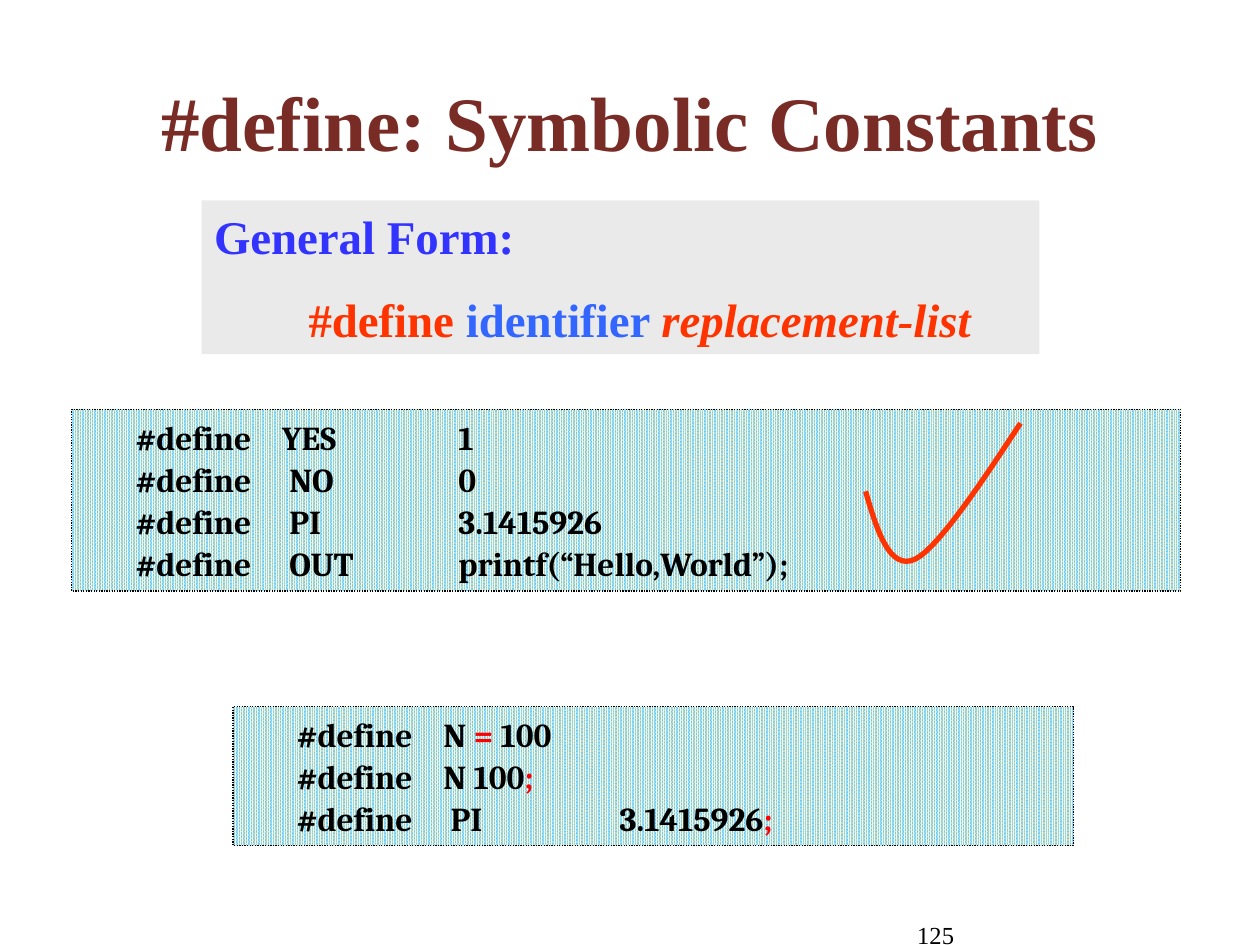
from pptx import Presentation
from pptx.dml.color import RGBColor
from pptx.enum.dml import MSO_LINE, MSO_PATTERN
from pptx.enum.shapes import MSO_SHAPE
from pptx.enum.text import MSO_ANCHOR, MSO_AUTO_SIZE, PP_ALIGN
from pptx.oxml.ns import qn
from pptx.util import Inches, Pt
from lxml import etree

RECTANGLE = MSO_SHAPE.RECTANGLE
DOTTED = MSO_LINE.ROUND_DOT
PERCENT_90 = MSO_PATTERN.PERCENT_90
MIDDLE = MSO_ANCHOR.MIDDLE
FIT_SHAPE = MSO_AUTO_SIZE.SHAPE_TO_FIT_TEXT
LEFT, CENTER, RIGHT = PP_ALIGN.LEFT, PP_ALIGN.CENTER, PP_ALIGN.RIGHT

BLACK = RGBColor(0x00, 0x00, 0x00)
MAROON = RGBColor(0x79, 0x2B, 0x25)
GRAY = RGBColor(0xEA, 0xEA, 0xEA)
INDIGO = RGBColor(0x33, 0x33, 0xFF)
BLUE = RGBColor(0x33, 0x66, 0xFF)
ORANGE = RGBColor(0xFF, 0x33, 0x00)
RED = RGBColor(0xFF, 0x00, 0x00)
CREAM = RGBColor(0xFE, 0xF4, 0xCE)
SKY = RGBColor(0x66, 0xCC, 0xFF)

TITLE_FORMAT = {"name": "Times New Roman", "size": Pt(44), "bold": True}
FORM_FORMAT = {"name": "Times New Roman", "size": Pt(26.8), "bold": True}
CODE_FORMAT = {"name": "Cambria", "size": Pt(19.1), "bold": True}
NUMBER_FORMAT = {"name": "Times New Roman", "size": Pt(14), "bold": False}


def write(frame, lines, font_format, align=LEFT, gap=0, tabs=()):
    """Fill a frame with lines of (text, colour[, italic]) spans."""
    frame.word_wrap = True
    for index, line in enumerate(lines):
        para = frame.paragraphs[0] if index == 0 else frame.add_paragraph()
        para.alignment = align
        if index:
            para.space_before = Pt(gap)
        if tabs:
            tab_list = etree.SubElement(para._p.get_or_add_pPr(), qn("a:tabLst"))
            for stop in tabs:
                etree.SubElement(tab_list, qn("a:tab"), pos=str(Inches(stop)), algn="l")
        for text, color, *italic in line:
            span = para.add_run()
            span.text = text
            for attribute, value in font_format.items():
                setattr(span.font, attribute, value)
            span.font.italic = bool(italic)
            span.font.color.rgb = color


def add_box(left, top, width, height):
    box = slide.shapes.add_shape(
        RECTANGLE, Inches(left), Inches(top), Inches(width), Inches(height))
    box.shadow.inherit = False
    box.text_frame.auto_size = FIT_SHAPE
    return box


deck = Presentation()
deck.slide_width, deck.slide_height = Inches(10), Inches(7.5)
slide = deck.slides.add_slide(deck.slide_layouts[5])

# Title and slide number
title = slide.shapes.title
title.left, title.top = Inches(0.5), Inches(0.42)
title.width, title.height = Inches(9), Inches(1.08)
title.text_frame.vertical_anchor = MIDDLE
write(title.text_frame, [[("#define: Symbolic Constants", MAROON)]], TITLE_FORMAT, CENTER)

number = slide.shapes.add_textbox(Inches(6.75), Inches(7.25), Inches(0.92), Inches(0.25))
write(number.text_frame, [[("125", BLACK)]], NUMBER_FORMAT, RIGHT)

# General form
form = add_box(1.6, 1.59, 6.65, 1.22)
form.fill.solid()
form.fill.fore_color.rgb = GRAY
form.line.fill.background()
write(form.text_frame, [
    [("General Form:", INDIGO)],
    [("\t#define ", ORANGE), ("identifier ", BLUE), ("replacement-list", ORANGE, True)],
], FORM_FORMAT, gap=15, tabs=[0.75])

# Correct and wrong examples
correct = [
    [("       #define\tYES\t1", BLACK)],
    [("       #define\t NO\t0", BLACK)],
    [("       #define\t PI\t3.1415926", BLACK)],
    [("       #define\t OUT\tprintf(“Hello,World”);", BLACK)],
]
wrong = [
    [("       #define\tN ", BLACK), ("=", RED), (" 100", BLACK)],
    [("       #define\tN 100", BLACK), (";", RED)],
    [("       #define\t PI\t3.1415926", BLACK), (";", RED)],
]
for bounds, code in (((0.57, 3.25, 8.8, 1.44), correct), ((1.85, 5.61, 6.67, 1.1), wrong)):
    example = add_box(*bounds)
    example.fill.patterned()
    example.fill.pattern = PERCENT_90
    example.fill.fore_color.rgb = CREAM
    example.fill.back_color.rgb = SKY
    example.line.color.rgb = BLACK
    example.line.width = Pt(0.75)
    example.line.dash_style = DOTTED
    write(example.text_frame, code, CODE_FORMAT, gap=1.2, tabs=[1.57, 2.97])

# Check mark: two Bezier curves drawn as short segments
curves = [
    [(6.87, 3.9), (6.96, 4.21), (7.06, 4.53), (7.26, 4.44)],
    [(7.26, 4.44), (7.47, 4.35), (7.97, 3.55), (8.1, 3.36)],
]
STEPS = 16
points = []
for curve in curves:
    for step in range(1, STEPS + 1):
        t = step / STEPS
        weights = ((1 - t) ** 3, 3 * t * (1 - t) ** 2, 3 * t ** 2 * (1 - t), t ** 3)
        points.append(tuple(
            Inches(sum(weight * value for weight, value in zip(weights, axis)))
            for axis in zip(*curve)))
start_x, start_y = curves[0][0]
builder = slide.shapes.build_freeform(Inches(start_x), Inches(start_y))
builder.add_line_segments(points, close=False)
check = builder.convert_to_shape()
check.shadow.inherit = False
check.fill.background()
check.line.color.rgb = ORANGE
check.line.width = Pt(3)

deck.save("out.pptx")
